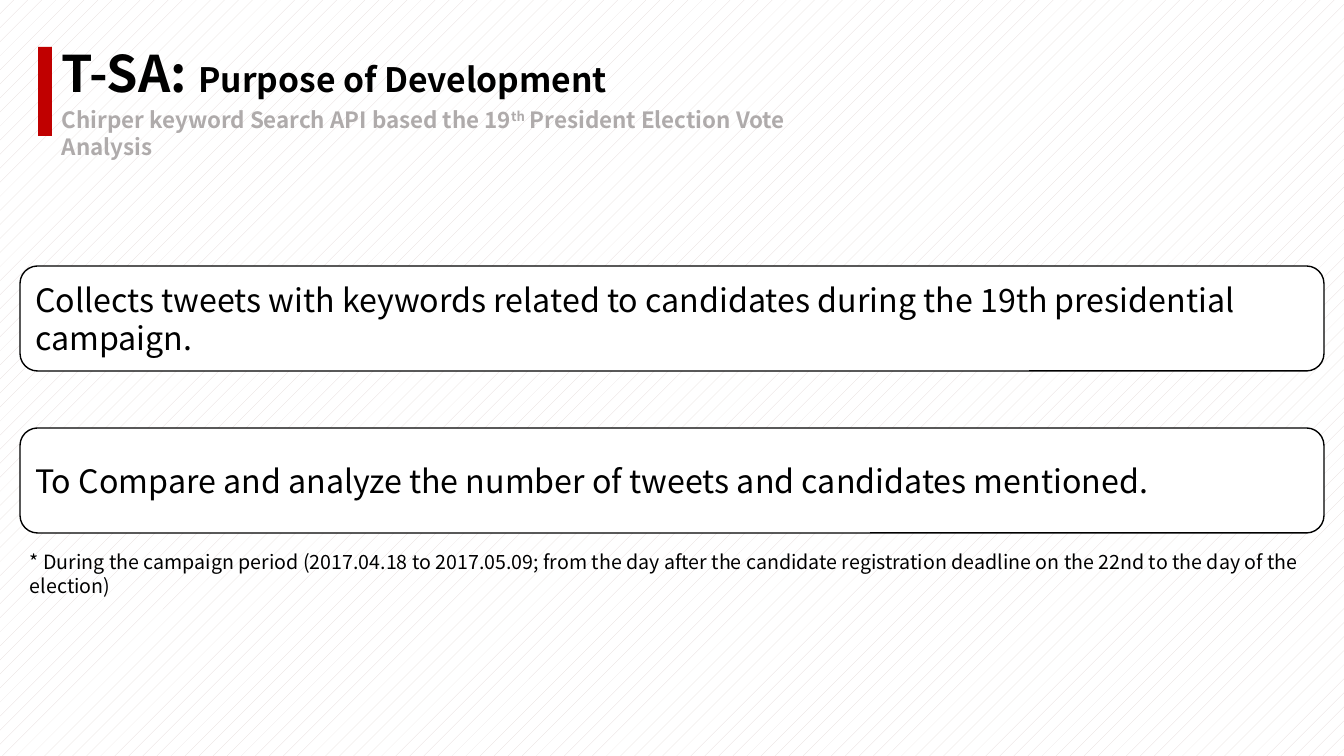
from pptx import Presentation
from pptx.dml.color import RGBColor
from pptx.enum.dml import MSO_PATTERN
from pptx.enum.shapes import MSO_SHAPE
from pptx.enum.text import MSO_ANCHOR, PP_ALIGN
from pptx.util import Emu, Pt

PX = 914400 / 100.8
FONT = "Noto Sans CJK KR"
BLACK = RGBColor(0x00, 0x00, 0x00)
WHITE = RGBColor(0xFF, 0xFF, 0xFF)
RED = RGBColor(0xC0, 0x00, 0x00)
GREY = RGBColor(0xAF, 0xAB, 0xAB)
HATCH = RGBColor(0xE3, 0xD9, 0xD7)

PURPOSES = [
    "Collects tweets with keywords related to candidates during the 19th presidential campaign.",
    "To Compare and analyze the number of tweets and candidates mentioned.",
]
FOOTNOTE = (
    "* During the campaign period (2017.04.18 to 2017.05.09; from the day after the candidate "
    "registration deadline on the 22nd to the day of the election)"
)


def emu(*lengths):
    return [Emu(round(length * PX)) for length in lengths]


def style(para, size, color=BLACK, bold=False):
    para.alignment = PP_ALIGN.LEFT
    para.font.name = FONT
    para.font.size = Pt(size)
    para.font.color.rgb = color
    para.font.bold = bold


def add_shape(page, kind, box, fill):
    shape = page.shapes.add_shape(kind, *emu(*box))
    shape.shadow.inherit = False
    shape.fill.solid()
    shape.fill.fore_color.rgb = fill
    shape.line.fill.background()
    return shape


def add_text(page, box, spans, size, color=BLACK, bold=False):
    """Add a wrapped one-paragraph text box and return its runs."""
    frame = page.shapes.add_textbox(*emu(*box)).text_frame
    frame.word_wrap = True
    para = frame.paragraphs[0]
    style(para, size, color, bold)
    for text in spans:
        para.add_run().text = text
    return para.runs


def add_heading(page, left, top):
    add_shape(page, MSO_SHAPE.RECTANGLE, (left, top, 14, 89), RED)
    text_left = left + 14
    name, topic = add_text(page, (text_left, top - 10, 775, 119),
                           ["T-SA: ", "Purpose of Development"], 36, bold=True)
    topic.font.size = Pt(24)
    subtitle = ["Chirper keyword Search API based the 19", "th", " President Election Vote Analysis"]
    spans = add_text(page, (text_left, top + 54, 747, 37), subtitle, 16, GREY, True)
    spans[1].font._element.set("baseline", "30000")


def add_purposes(page, left, top, width):
    height, pitch = 105, 162
    for index, purpose in enumerate(PURPOSES):
        panel = add_shape(page, MSO_SHAPE.ROUNDED_RECTANGLE,
                          (left, top + index * pitch, width, height), WHITE)
        panel.line.color.rgb = BLACK
        panel.line.width = Pt(1)
        frame = panel.text_frame
        frame.word_wrap = True
        frame.vertical_anchor = MSO_ANCHOR.MIDDLE
        frame.text = purpose
        style(frame.paragraphs[0], 23)
    add_text(page, (left, top + pitch + height + 12, width, 34), [FOOTNOTE], 14)


def add_background(page):
    fill = page.background.fill
    fill.patterned()
    fill.pattern = MSO_PATTERN.PERCENT_5
    fill.fore_color.rgb = HATCH
    fill.back_color.rgb = WHITE


def main():
    deck = Presentation()
    deck.slide_width, deck.slide_height = emu(1344, 756)
    page = deck.slides.add_slide(deck.slide_layouts[6])
    add_background(page)
    add_heading(page, 38, 47)
    add_purposes(page, 20, 266, 1304)
    deck.save("out.pptx")


if __name__ == "__main__":
    main()
